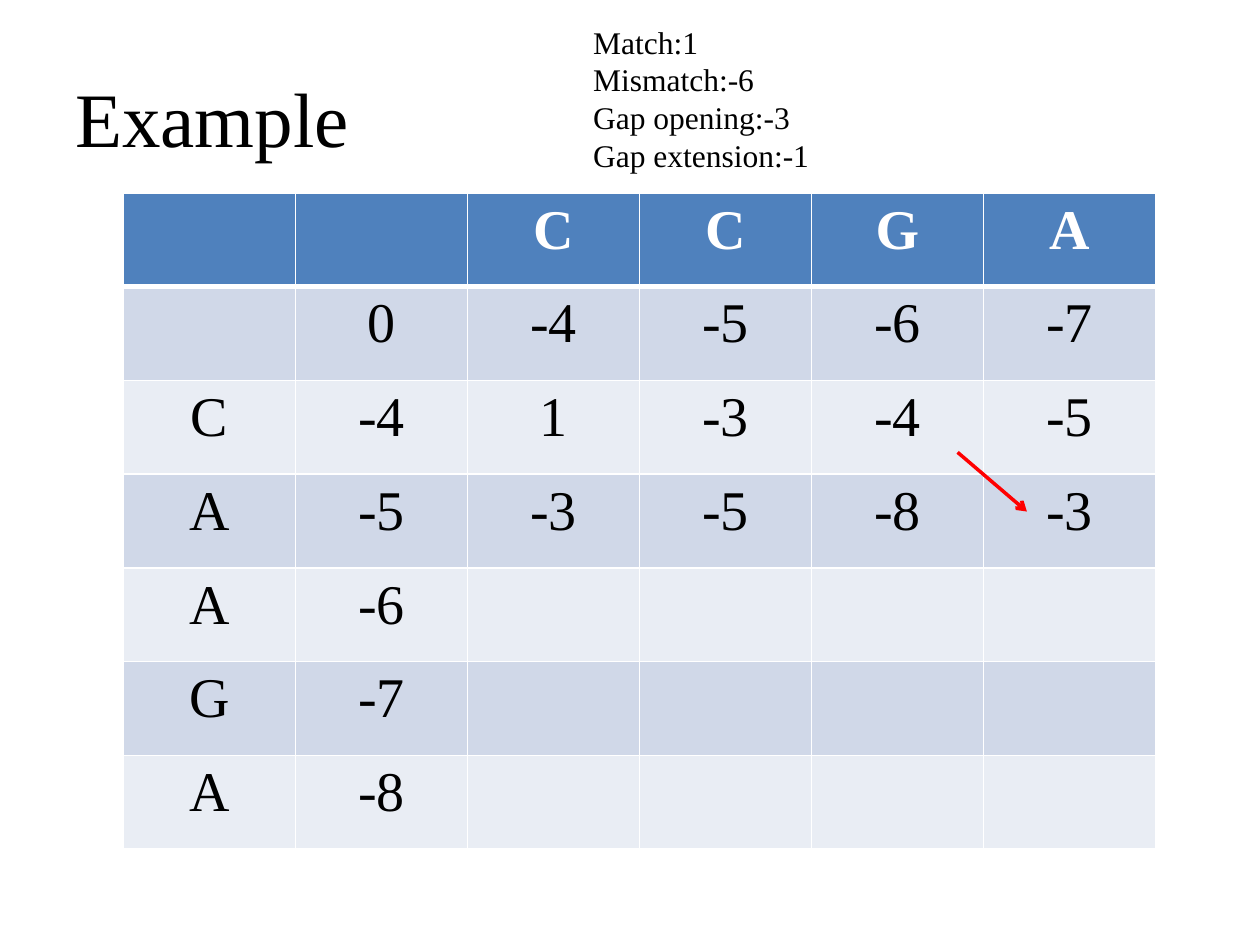
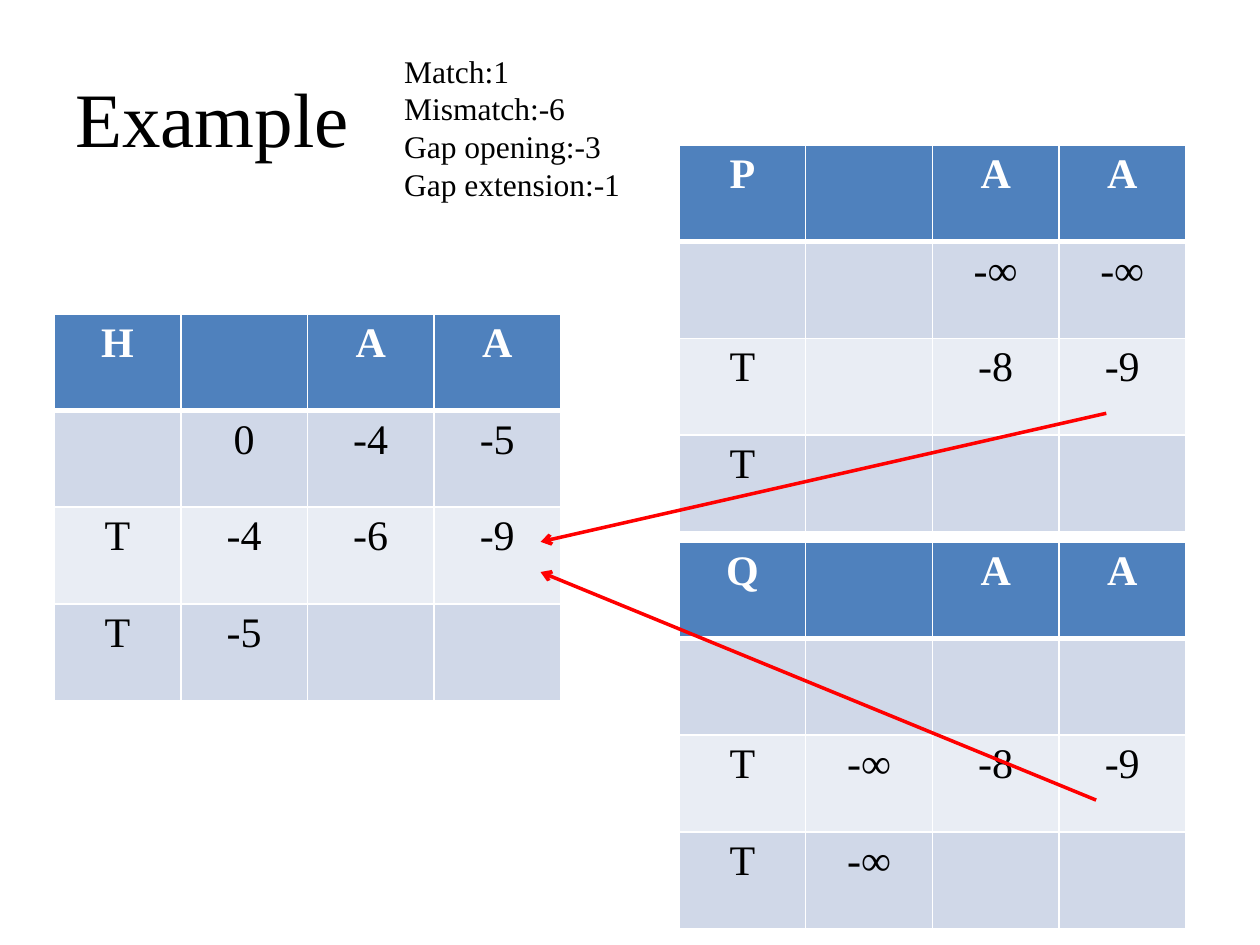
import pptx
import pptx.dml.color
import pptx.enum.shapes
import pptx.enum.text
import pptx.oxml.ns
import pptx.util
from lxml import etree

# Content
TITLE = "Example"
SCORES = ["Match:1", "Mismatch:-6", "Gap opening:-3", "Gap extension:-1"]

# Each table: left, top, width, height, text size, rows
ALIGNMENT_TABLE = (0.98, 1.53, 8.19, 5.21, 32, [
    ["", "", "C", "C", "G", "A"],
    ["", "0", "-4", "-5", "-6", "-7"],
    ["C", "-4", "1", "-3", "-4", "-5"],
    ["A", "-5", "-3", "-5", "-8", "-3"],
    ["A", "-6", "", "", "", ""],
    ["G", "-7", "", "", "", ""],
    ["A", "-8", "", "", "", ""],
])
SMALL_SIZE = (4.02, 3.07, 24)
H_TABLE = (0.43, 2.49, *SMALL_SIZE, [
    ["H", "", "A", "A"],
    ["", "0", "-4", "-5"],
    ["T", "-4", "-6", "-9"],
    ["T", "-5", "", ""],
])
P_TABLE = (5.39, 1.15, *SMALL_SIZE, [
    ["P", "", "A", "A"],
    ["", "", "-∞", "-∞"],
    ["T", "", "-8", "-9"],
    ["T", "", "", ""],
])
Q_TABLE = (5.39, 4.3, *SMALL_SIZE, [
    ["Q", "", "A", "A"],
    ["", "", "", ""],
    ["T", "-∞", "-8", "-9"],
    ["T", "-∞", "", ""],
])
SLIDES = [
    {"scores_at": (4.61, 0.13), "tables": [ALIGNMENT_TABLE],
     "arrows": [(7.6, 3.59, 8.15, 4.06)]},
    {"scores_at": (3.11, 0.36), "tables": [H_TABLE, P_TABLE, Q_TABLE],
     "arrows": [(8.78, 3.28, 4.29, 4.3), (8.7, 6.35, 4.29, 4.54)]},
]

# Shared style
FONT = "Times New Roman"
COLORS = {"text": "000000", "white": "FFFFFF", "header": "4F81BD",
          "odd": "D0D8E8", "even": "E9EDF4", "arrow": "FF0000"}
inches = pptx.util.Inches


def color(name):
    return pptx.dml.color.RGBColor.from_string(COLORS[name])


def write(frame, lines, size, ink="text", **formats):
    formats = {"name": FONT, "size": pptx.util.Pt(size), **formats}
    for index, line in enumerate(lines):
        paragraph = frame.paragraphs[0] if index == 0 else frame.add_paragraph()
        run = paragraph.add_run()
        run.text = line
        for name, value in formats.items():
            setattr(run.font, name, value)
        run.font.color.rgb = color(ink)


def add_text(slide, box, lines, size, **frame_formats):
    frame = slide.shapes.add_textbox(*map(inches, box)).text_frame
    for name, value in frame_formats.items():
        setattr(frame, name, value)
    write(frame, lines, size)


def add_borders(cell, top, bottom):
    properties = cell._tc.get_or_add_tcPr()
    widths = {"lnL": 1, "lnR": 1, "lnT": top, "lnB": bottom}
    for index, (tag, width) in enumerate(widths.items()):
        line = etree.Element(pptx.oxml.ns.qn("a:" + tag), w=str(pptx.util.Pt(width)))
        fill = etree.SubElement(line, pptx.oxml.ns.qn("a:solidFill"))
        etree.SubElement(fill, pptx.oxml.ns.qn("a:srgbClr"), val=COLORS["white"])
        properties.insert(index, line)


def add_matrix(slide, left, top, width, height, size, rows):
    row_count, column_count = len(rows), len(rows[0])
    table = slide.shapes.add_table(
        row_count, column_count, *map(inches, (left, top, width, height))).table
    table.first_row = table.horz_banding = False
    for column in table.columns:
        column.width = inches(width / column_count)
    for row in table.rows:
        row.height = inches(height / row_count)
    for row_index, row in enumerate(rows):
        header = row_index == 0
        band = "header" if header else "odd" if row_index % 2 else "even"
        for column_index, value in enumerate(row):
            cell = table.cell(row_index, column_index)
            cell.fill.solid()
            cell.fill.fore_color.rgb = color(band)
            add_borders(cell, 3 if row_index == 1 else 1, 3 if header else 1)
            if value:
                write(cell.text_frame, [value], size,
                      "white" if header else "text", bold=header)
                cell.text_frame.paragraphs[0].alignment = pptx.enum.text.PP_ALIGN.CENTER


def add_arrow(slide, ends):
    arrow = slide.shapes.add_connector(
        pptx.enum.shapes.MSO_CONNECTOR.STRAIGHT, *map(inches, ends))
    arrow.line.color.rgb = color("arrow")
    arrow.line.width = pptx.util.Pt(2)
    etree.SubElement(arrow.line._get_or_add_ln(), pptx.oxml.ns.qn("a:tailEnd"), type="arrow")
    etree.SubElement(arrow._element.spPr, pptx.oxml.ns.qn("a:effectLst"))


def main():
    presentation = pptx.Presentation()
    presentation.slide_width, presentation.slide_height = inches(10), inches(7.5)
    for content in SLIDES:
        slide = presentation.slides.add_slide(presentation.slide_layouts[6])
        add_text(slide, (0.5, 0.3, 9, 1.25), [TITLE], 44, word_wrap=True,
                 vertical_anchor=pptx.enum.text.MSO_ANCHOR.MIDDLE)
        add_text(slide, (*content["scores_at"], 1.93, 1.31), SCORES, 18, word_wrap=False,
                 auto_size=pptx.enum.text.MSO_AUTO_SIZE.SHAPE_TO_FIT_TEXT)
        for matrix in content["tables"]:
            add_matrix(slide, *matrix)
        for ends in content["arrows"]:
            add_arrow(slide, ends)
    presentation.save("out.pptx")


if __name__ == "__main__":
    main()
